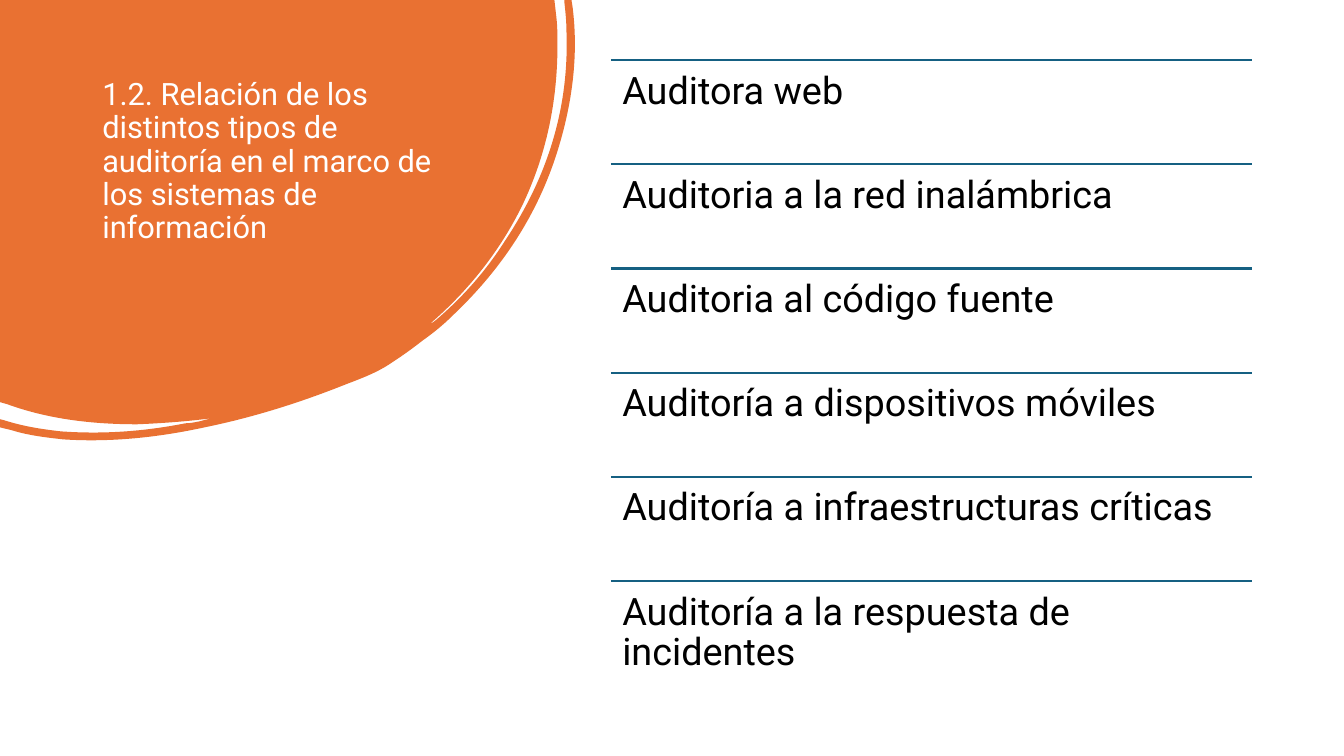
from lxml import etree
from pptx import Presentation, util as u
from pptx.dml.color import RGBColor
from pptx.enum import shapes, text
from pptx.oxml import ns

COLORS = {"orange": "E97132", "blue": "156082", "white": "FFFFFF", "black": "000000"}

BLOB = [
    (396, 0), (397.4, 12.2),
    (398.2, 18.7, 398.2, 25.9, 398.2, 32.4),
    (398.2, 72.7, 390.2, 110.9, 373, 146.9),
    (357.1, 179.3, 334.8, 207.4, 307.4, 231.1),
    (308.9, 231.1, 309.6, 229.7, 311, 229),
    (330.5, 212.4, 347, 193.7, 360.7, 172.1),
    (391, 126.7, 406.8, 77, 404.6, 21.6),
    (404.6, 15.1, 403.9, 8.6, 403.2, 2.2),
    (403.2, 0), (408.2, 0), (409, 5),
    (413.3, 38.9, 409, 73.4, 398.2, 108),
    (383.8, 154.1, 357.8, 193, 322.6, 226.1),
    (316.1, 232.6, 308.9, 238.3, 301.7, 243.4),
    (294.5, 249.1, 287.3, 254.2, 278.6, 259.9),
    (270, 265.7, 259.2, 270, 247.7, 274.3),
    (215.3, 287.3, 181.4, 298.1, 146.2, 305.3),
    (113, 312.5, 79.2, 316.1, 45.4, 313.9),
    (32.4, 312.5, 20.2, 311, 8.6, 307.4),
    (0, 305.3), (0, 299.5), (2.9, 300.2),
    (16.6, 304.6, 30.2, 306.7, 43.9, 308.2),
    (74.2, 310.3, 103, 308.2, 132.5, 302.4),
    (136.1, 302.4, 139, 301.7, 142.6, 301),
    (145.4, 300.2, 148.3, 299.5, 151.2, 298.8),
    (133.9, 301, 115.9, 302.4, 97.9, 303.1),
    (66.2, 303.1, 34.6, 299.5, 5, 288.7),
    (0, 287.3),
]

TITLE = ("1.2. Relación de los distintos tipos de auditoría "
         "en el marco de los sistemas de información")
AUDITS = [
    "Auditora web",
    "Auditoria a la red inalámbrica",
    "Auditoria al código fuente",
    "Auditoría a dispositivos móviles",
    "Auditoría a infraestructuras críticas",
    "Auditoría a la respuesta de incidentes",
]


class Deck:
    font = "Roboto"

    def __init__(self, width, height):
        self.prs = Presentation()
        self.prs.slide_width, self.prs.slide_height = u.Pt(width), u.Pt(height)
        self.s = self.prs.slides.add_slide(self.prs.slide_layouts[6])

    def color(self, name):
        return RGBColor.from_string(COLORS[name])

    def outline(self, segments, w, h, fill):
        fb = self.s.shapes.build_freeform(0, 0)
        fb.add_line_segments([(u.Pt(seg[-2]), u.Pt(seg[-1])) for seg in segments], close=True)
        sp = fb.convert_to_shape()
        sp.width, sp.height = u.Pt(w), u.Pt(h)
        geometry = next(sp._element.iter(ns.qn("a:path")))
        geometry.set("w", str(sp.width))
        geometry.set("h", str(sp.height))
        for step, seg in zip(list(geometry.iter(ns.qn("a:lnTo"))), segments):
            if len(seg) == 6:
                curve = etree.Element(ns.qn("a:cubicBezTo"))
                for x, y in zip(seg[::2], seg[1::2]):
                    etree.SubElement(curve, ns.qn("a:pt"), x=str(u.Pt(x)), y=str(u.Pt(y)))
                geometry.replace(step, curve)
        sp.shadow.inherit = False
        sp.fill.solid()
        sp.fill.fore_color.rgb = self.color(fill)
        sp.line.fill.background()

    def rule(self, x, y, w, color):
        line = self.s.shapes.add_connector(
            shapes.MSO_CONNECTOR.STRAIGHT, u.Pt(x), u.Pt(y), u.Pt(x + w), u.Pt(y))
        line.line.color.rgb = self.color(color)
        line.line.width = u.Pt(1.5)
        etree.SubElement(line._element.spPr, ns.qn("a:effectLst"))

    def label(self, words, x, y, w, h, size, color, inset):
        sp = self.s.shapes.add_textbox(u.Pt(x), u.Pt(y), u.Pt(w), u.Pt(h))
        tf = sp.text_frame
        tf.word_wrap = True
        tf.vertical_anchor = text.MSO_ANCHOR.TOP
        tf.margin_left = tf.margin_right = u.Pt(inset[0])
        tf.margin_top = tf.margin_bottom = u.Pt(inset[1])
        tf.text = words
        p = tf.paragraphs[0]
        p.line_spacing = 0.9
        r = p.runs[0]
        r.font.name, r.font.size = self.font, u.Pt(size)
        r.font.color.rgb = self.color(color)


def main():
    deck = Deck(960, 540)
    deck.outline(BLOB, 411.1, 314.6, "orange")
    deck.label(TITLE, 66, 53, 253.5, 160, 22, "white", (7.2, 3.6))
    left, top, width, pitch = 436.4, 43, 457.8, 74.4
    for i, audit in enumerate(AUDITS):
        y = top + i * pitch
        deck.rule(left, y, width, "blue")
        deck.label(audit, left, y, width, pitch, 27, "black", (8.1, 8.1))
    deck.prs.save("out.pptx")


if __name__ == "__main__":
    main()
